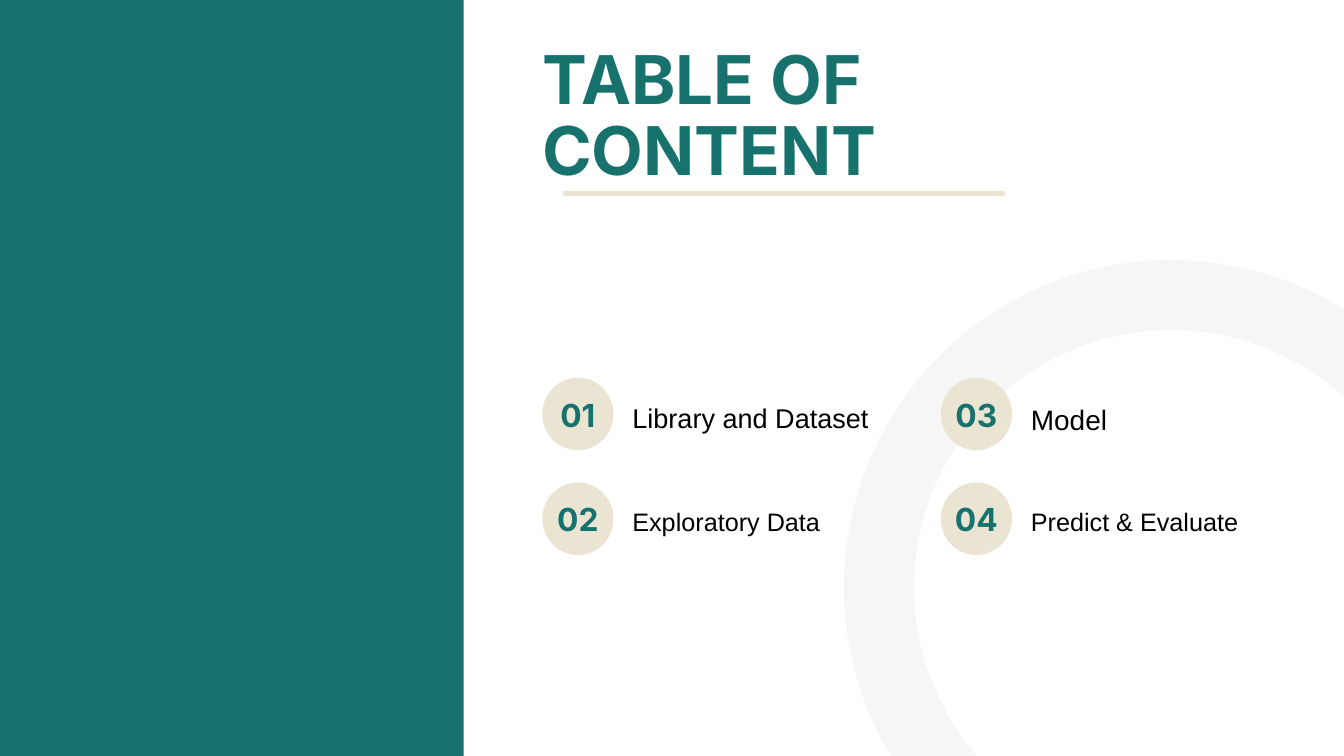
from lxml import etree
from pptx import Presentation
from pptx.dml.color import RGBColor
from pptx.enum.shapes import MSO_CONNECTOR, MSO_SHAPE
from pptx.enum.text import MSO_ANCHOR, PP_ALIGN
from pptx.oxml.ns import qn
from pptx.util import Inches, Pt

OVAL, RECT = MSO_SHAPE.OVAL, MSO_SHAPE.RECTANGLE
LINE = MSO_CONNECTOR.STRAIGHT
TOP, MIDDLE = MSO_ANCHOR.TOP, MSO_ANCHOR.MIDDLE
LEFT, CENTER = PP_ALIGN.LEFT, PP_ALIGN.CENTER
COLORS = {"teal": "17726D", "sand": "EAE4D2", "mist": "F6F6F6", "ink": "000000"}
ITEMS = [
    ("Library and Dataset", 29, 40.6, 0.27),
    ("Exploratory Data", 27, 37.8, 0.28),
    ("Model", 30, 42, 0.28),
    ("Predict & Evaluate", 27, 37.8, 0.28),
]


def tint(name):
    """Return the named colour."""
    return RGBColor.from_string(COLORS[name])


def add_form(slide, kind, box, color):
    """Add a filled shape without an outline."""
    form = slide.shapes.add_shape(kind, *map(Inches, box))
    form.shadow.inherit = False
    form.fill.solid()
    form.fill.fore_color.rgb = tint(color)
    form.line.fill.background()
    return form


def add_text(slide, box, text, size, lead, color="ink", font="Arial",
             bold=False, align=LEFT, anchor=TOP, inset=0):
    """Add a text box in one style."""
    frame = slide.shapes.add_textbox(*map(Inches, box)).text_frame
    frame.word_wrap = True
    frame.vertical_anchor = anchor
    frame.margin_left = frame.margin_right = Inches(inset)
    frame.margin_top = frame.margin_bottom = Inches(inset)
    frame.text = text
    line = frame.paragraphs[0]
    line.alignment = align
    line.line_spacing = Pt(lead)
    style = line.runs[0].font
    style.name, style.size, style.bold = font, Pt(size), bold
    style.color.rgb = tint(color)


def add_ring(slide, box):
    """Add the large pale ring."""
    ring = add_form(slide, OVAL, box, "mist")
    ring.fill.background()
    ring.line.color.rgb = tint("mist")
    ring.line.width = Pt(75)


def add_title(slide, box):
    """Add the heading and the rule below it."""
    left, top, width, height = box
    y = top + height + 0.04
    ends = (left + 0.31, y, left + 6.88, y)
    rule = slide.shapes.add_connector(LINE, *map(Inches, ends))
    rule.line.color.rgb = tint("sand")
    rule.line.width = Pt(6)
    etree.SubElement(rule._element.spPr, qn("a:effectLst"))
    add_text(slide, box, "TABLE OF CONTENT", 72, 75.6, "teal", "Inter", True)


def add_item(slide, box, number, item):
    """Add a numbered disc with its topic."""
    left, top, width, height = box
    text, size, lead, drop = item
    add_form(slide, OVAL, (left, top, 1.06, height), "sand")
    add_text(slide, (left + 0.1, top + 0.01, 0.86, 0.98), f"{number:02}", 34,
             47.6, "teal", "Inter", True, CENTER, MIDDLE, 0.05)
    add_text(slide, (left + 1.34, top + drop, width - 1.34, 0.54),
             text, size, lead)


def add_list(slide, box):
    """Add the topics in two columns, filled downwards."""
    left, top, width, height = box
    for i, item in enumerate(ITEMS):
        col, row = divmod(i, 2)
        spot = (left + col * 5.93, top + row * 1.56, width - 5.93, height - 1.56)
        add_item(slide, spot, i + 1, item)


def main():
    """Build the contents slide."""
    deck = Presentation()
    deck.slide_width, deck.slide_height = Inches(20), Inches(11.25)
    slide = deck.slides.add_slide(deck.slide_layouts[6])
    add_ring(slide, (13.08, 4.39, 8.7, 8.7))
    add_form(slide, RECT, (0, 0, 6.9, 11.25), "teal")
    add_title(slide, (8.07, 0.71, 7.83, 2.13))
    add_list(slide, (8.07, 5.62, 11.22, 2.64))
    deck.save("out.pptx")


if __name__ == "__main__":
    main()
